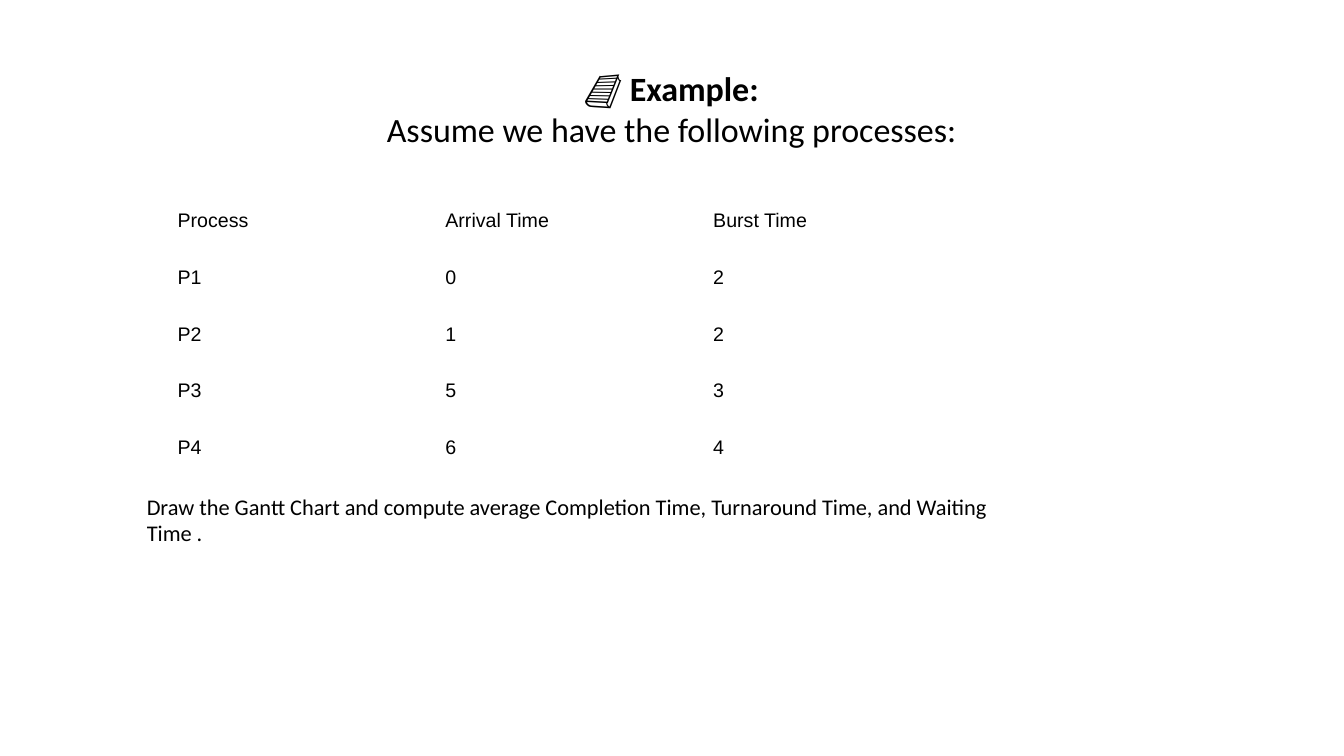
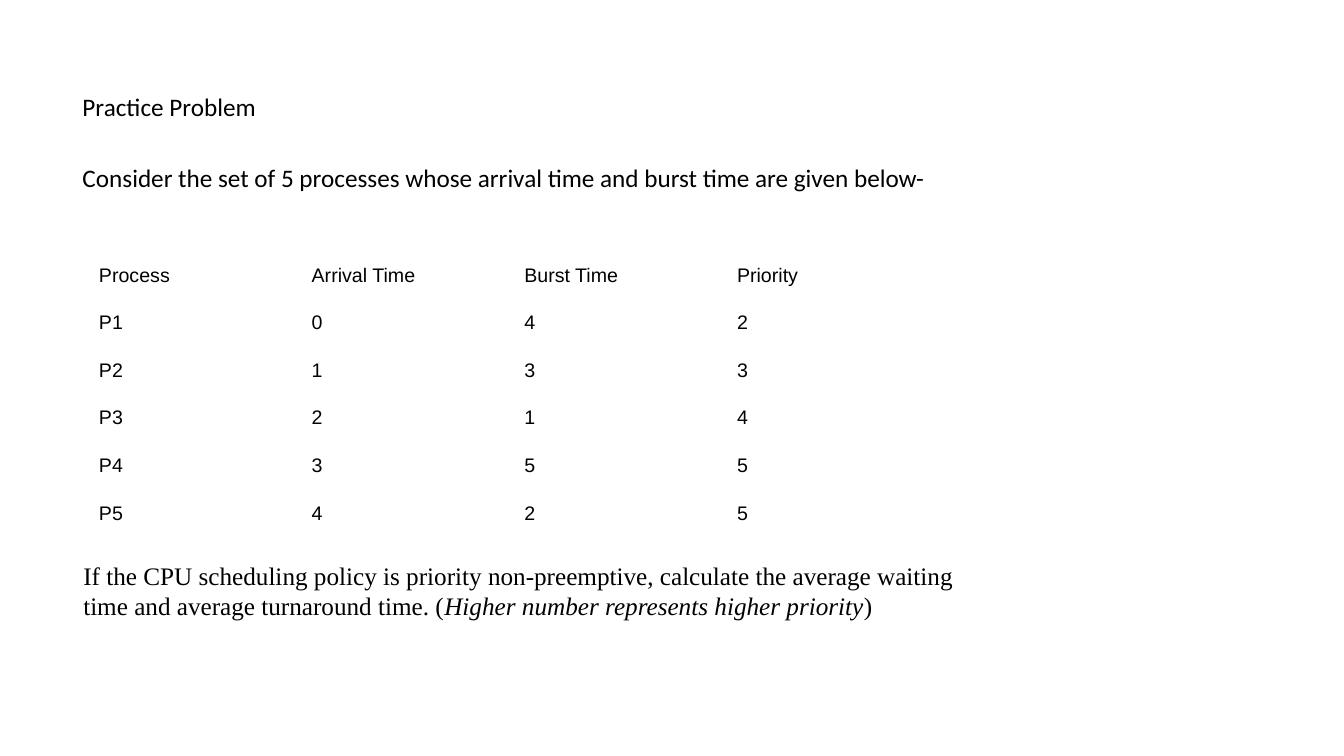
from pptx import Presentation
from pptx.dml.color import RGBColor
from pptx.enum.text import MSO_ANCHOR as Anchor, PP_ALIGN as Align
from pptx.util import Cm, Pt

BLACK = RGBColor(0, 0, 0)
SANS, GRID, SERIF = "Calibri", "Arial", "Times New Roman"
HEADS = ["Process", "Arrival Time", "Burst Time"]


def add_run(para, text, font, size, bold=False, italic=False):
    run = para.add_run()
    run.text = text
    run.font.name = font
    run.font.size = Pt(size)
    run.font.bold = bold
    run.font.italic = italic
    run.font.color.rgb = BLACK


def add_text(slide, box, paras, font, size, align=Align.LEFT,
             anchor=Anchor.TOP, gap=0):
    """Each paragraph is a list of (text, style) runs; gap is in points."""
    frame = slide.shapes.add_textbox(*map(Cm, box)).text_frame
    frame.word_wrap = True
    frame.vertical_anchor = anchor
    for i, runs in enumerate(paras):
        para = frame.add_paragraph() if i else frame.paragraphs[0]
        para.alignment = align
        if i:
            para.space_before = Pt(gap)
        for text, style in runs:
            add_run(para, text, font, size, **style)


def add_grid(slide, left, top, wide, high, rows):
    """Plain table with equal columns and rows."""
    count = len(rows[0])
    table = slide.shapes.add_table(
        len(rows), count, Cm(left), Cm(top),
        Cm(wide * count), Cm(high * len(rows))).table
    table.first_row = table.horz_banding = False
    for r, row in enumerate(rows):
        for c, value in enumerate(row):
            cell = table.cell(r, c)
            cell.fill.background()
            cell.vertical_anchor = Anchor.MIDDLE
            add_run(cell.text_frame.paragraphs[0], str(value), GRID, 14)


def number(rows):
    """Put the process names P1, P2, ... before the values."""
    return [[f"P{i}", *row] for i, row in enumerate(rows, 1)]


def add_example(slide):
    add_text(slide, (1.85, 1.65, 30.15, 2.24), [
        [("📘 Example:", {"bold": True})],
        [("Assume we have the following processes:", {})],
    ], SANS, 24.3, Align.CENTER, Anchor.BOTTOM)
    times = [(0, 2), (1, 2), (5, 3), (6, 4)]
    add_grid(slide, 4.22, 4.85, 6.75, 1.43, [HEADS, *number(times)])
    add_text(slide, (3.45, 12.29, 23.19, 1.63), [[(
        "Draw the Gantt Chart and compute average Completion Time, "
        "Turnaround Time, and Waiting Time .", {})]], SANS, 16)


def add_problem(slide):
    add_text(slide, (1.83, 2.18, 30.18, 3), [
        [("Practice Problem", {})],
        [("Consider the set of 5 processes whose arrival time and "
          "burst time are given below-", {})],
    ], SANS, 18, gap=28.8)
    times = [(0, 4, 2), (1, 3, 3), (2, 1, 4), (3, 5, 5), (4, 2, 5)]
    add_grid(slide, 2.24, 6.34, 5.36, 1.2,
             [[*HEADS, "Priority"], *number(times)])
    add_text(slide, (1.85, 14, 23.55, 1.75), [[
        ("If the CPU scheduling policy is priority non-preemptive, "
         "calculate the average waiting time and average turnaround "
         "time. (", {}),
        ("Higher number represents higher priority", {"italic": True}),
        (")", {}),
    ]], SERIF, 18)


def main():
    deck = Presentation()
    deck.slide_width, deck.slide_height = Cm(33.87), Cm(19.05)
    for build in (add_example, add_problem):
        build(deck.slides.add_slide(deck.slide_layouts[6]))
    deck.save("out.pptx")


if __name__ == "__main__":
    main()
